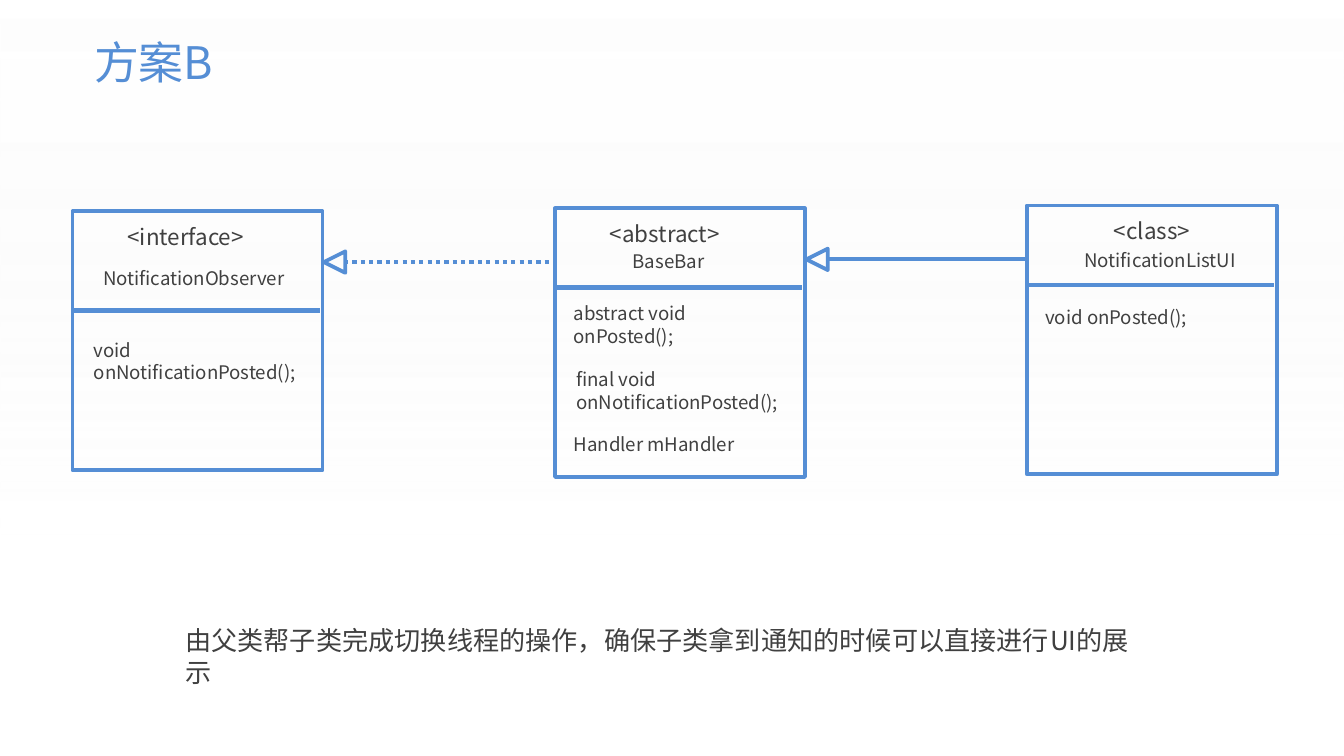
from lxml import etree
from pptx import Presentation
from pptx import util as u
from pptx.dml import color
from pptx.enum import dml, shapes, text
from pptx.oxml import ns

BLUE, GRAY = "558ED5", "404040"
FONT = "Noto Sans CJK SC"
WIDTH = 10
HEIGHT = WIDTH * 9 / 16


def rgb(value):
    return color.RGBColor.from_string(value)


def sub(parent, tag, **attrs):
    return etree.SubElement(parent, ns.qn(tag), **attrs)


class Deck:
    """Style and current slide, with one method per kind of element."""

    def __init__(self, prs):
        self.s = prs.slides.add_slide(prs.slide_layouts[5])

    def fill_text(self, sp, words, size, hue):
        tf = sp.text_frame
        tf.text = words
        tf.word_wrap = True
        tf.auto_size = text.MSO_AUTO_SIZE.NONE
        tf.vertical_anchor = text.MSO_ANCHOR.TOP
        p = tf.paragraphs[0]
        p.alignment = text.PP_ALIGN.LEFT
        p.line_spacing = u.Pt(size * 1.2)
        r = p.runs[0]
        r.font.size = u.Pt(size)
        r.font.name = FONT
        r.font.color.rgb = rgb(hue)
        sub(r.font._element, "a:ea", typeface=FONT)

    def title(self, words, x, y, w, h):
        sp = self.s.shapes.title
        sp.left, sp.top, sp.width, sp.height = map(u.Inches, (x, y, w, h))
        self.fill_text(sp, words, 24, BLUE)

    def label(self, words, x, y, w, h, size=10):
        sp = self.s.shapes.add_textbox(*map(u.Inches, (x, y, w, h)))
        self.fill_text(sp, words, size, GRAY)

    def outline(self, kind, x, y, w, h):
        sp = self.s.shapes.add_shape(kind, *map(u.Inches, (x, y, w, h)))
        sp.shadow.inherit = False
        sp.fill.background()
        sp.line.color.rgb = rgb(BLUE)
        sp.line.width = u.Pt(2)
        return sp

    def line(self, x1, x2, y, dash=None):
        c = self.s.shapes.add_connector(
            shapes.MSO_CONNECTOR.STRAIGHT, *map(u.Inches, (x1, y, x2, y)))
        c.line.color.rgb = rgb(BLUE)
        c.line.width = u.Pt(2.25)
        if dash:
            c.line.dash_style = dash
        sub(c._element.spPr, "a:effectLst")

    def backdrop(self):
        sp = self.outline(shapes.MSO_SHAPE.RECTANGLE, 0, 0, WIDTH, HEIGHT)
        sp.line.fill.background()
        sp.fill.gradient()
        sp.fill.gradient_angle = 270
        stops = ((0, "FFFFFF", 55), (0.71, "F2F2F2", 0))
        for stop, (pos, hue, alpha) in zip(sp.fill.gradient_stops, stops):
            stop.position = pos
            stop.color.rgb = rgb(hue)
            sub(stop._gs[0], "a:alpha", val=str(alpha * 1000))
        self.s.shapes._spTree.insert(2, sp._element)

    def class_box(self, x, y, h, divider):
        self.outline(shapes.MSO_SHAPE.RECTANGLE, x, y, 1.86, h)
        self.line(x, x + 1.84, divider)

    def inherits(self, x, x_end, y, dash=None):
        size = 0.16
        head = self.outline(shapes.MSO_SHAPE.ISOSCELES_TRIANGLE,
                            x, y - size / 2, size, size)
        head.rotation = 270
        self.line(x + 0.15, x_end, y, dash)


def main():
    prs = Presentation()
    prs.slide_width, prs.slide_height = u.Inches(WIDTH), u.Inches(HEIGHT)
    deck = Deck(prs)
    deck.backdrop()
    deck.title("方案B", 0.6, 0.21, 1.09, 0.5)

    # Class boxes: left, top, height, divider
    for box in ((0.54, 1.57, 1.93, 2.31),
                (4.13, 1.55, 2, 2.14),
                (7.64, 1.53, 2, 2.12)):
        deck.class_box(*box)

    # Stereotypes
    for words, x, y, w in (("<interface>", 0.85, 1.61, 1.11),
                           ("<abstract>", 4.44, 1.59, 1.06),
                           ("<class>", 8.19, 1.57, 0.81)):
        deck.label(words, x, y, w, 0.3, 12)

    # Class names and members
    for words, x, y, w, h in (
            ("NotificationObserver", 0.67, 1.94, 1.57, 0.27),
            ("void onNotificationPosted();", 0.6, 2.47, 1.78, 0.44),
            ("BaseBar", 4.61, 1.81, 0.8, 0.27),
            ("abstract void onPosted();", 4.17, 2.2, 1.78, 0.44),
            ("final void onNotificationPosted();", 4.19, 2.69, 1.78, 0.44),
            ("Handler mHandler", 4.17, 3.17, 1.41, 0.27),
            ("NotificationListUI", 7.97, 1.8, 1.34, 0.27),
            ("void onPosted();", 7.68, 2.23, 1.78, 0.27)):
        deck.label(words, x, y, w, h)

    # Inheritance arrows
    deck.inherits(2.41, 4.13, 1.95, dml.MSO_LINE.ROUND_DOT)
    deck.inherits(6, 7.64, 1.93)

    # Conclusion
    deck.label("由父类帮子类完成切换线程的操作，确保子类拿到通知的时候可以直接进行UI的展示",
               1.28, 4.6, 7.4, 0.34, 14)
    prs.save("out.pptx")


if __name__ == "__main__":
    main()
